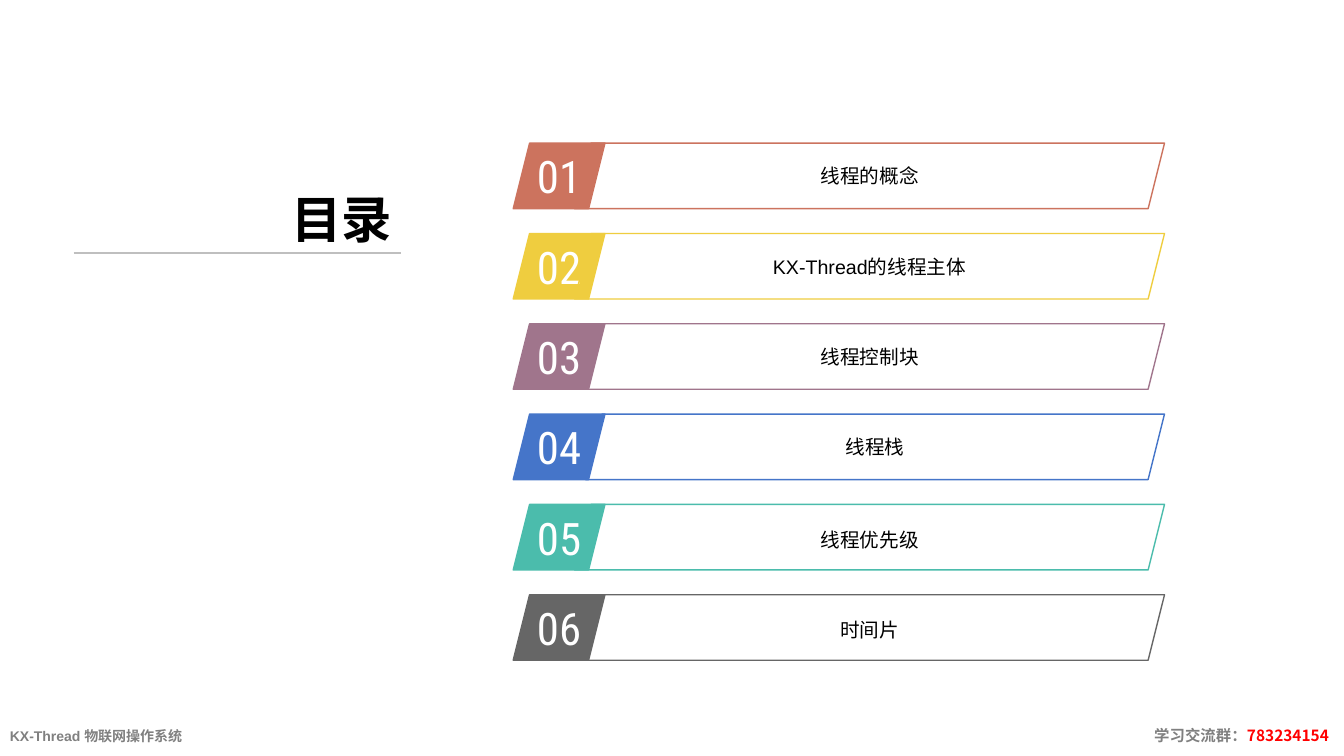
from lxml import etree
from pptx import Presentation
from pptx.dml.color import RGBColor
from pptx.enum.shapes import MSO_CONNECTOR, MSO_SHAPE
from pptx.enum.text import MSO_ANCHOR as ANCHOR, MSO_AUTO_SIZE as AUTOSIZE, PP_ALIGN as ALIGN
from pptx.oxml.ns import qn
from pptx.util import Inches, Pt

TITLE = "目录"
# label, colour, left edge of the label bar, line spacing
TOPICS = [
    ("线程的概念", "CC735E", 5.7, 1.0),
    ("KX-Thread的线程主体", "EFCD3F", 5.7, 1.0),
    ("线程控制块", "A0758C", 5.7, 1.0),
    ("线程栈", "4575C9", 5.81, 1.0),
    ("线程优先级", "4BBCAC", 5.7, 1.2),
    ("时间片", "666666", 5.7, 1.2),
]
# text, size, colour, font
FOOTER_LEFT = [("KX-Thread 物联网操作系统", 10, "808080", "Arial")]
FOOTER_RIGHT = [
    ("学习交流群：", 11, "808080", "Arial"),
    ("783234154", 11, "FF0000", "Noto Sans CJK KR"),
]

FIRST_TOP, LAST_TOP, BAR_HEIGHT = 1.42, 5.9, 0.65
NUMBER_LEFT, NUMBER_WIDTH, BAR_RIGHT = 5.09, 0.91, 11.55
ROW_STEP = (LAST_TOP - FIRST_TOP) / (len(TOPICS) - 1)


def rgb(color):
    return RGBColor.from_string(color)


def add_run(p, text, size, color, font="Arial", bold=False):
    r = p.add_run()
    r.text = text
    r.font.size = Pt(size)
    r.font.name = font
    r.font.bold = bold
    r.font.color.rgb = rgb(color)


def add_bar(s, left, top, width, color, filled):
    """Add a slanted bar and return its text frame."""
    sp = s.shapes.add_shape(MSO_SHAPE.PARALLELOGRAM, Inches(left), Inches(top),
                            Inches(width), Inches(BAR_HEIGHT))
    sp.shadow.inherit = False
    if filled:
        sp.fill.solid()
        sp.fill.fore_color.rgb = rgb(color)
    else:
        sp.fill.background()
    sp.line.color.rgb = rgb(color)
    sp.line.width = Pt(1)
    tf = sp.text_frame
    tf.vertical_anchor = ANCHOR.MIDDLE
    tf.word_wrap = not filled
    tf.paragraphs[0].alignment = ALIGN.CENTER
    return tf


def add_footer(s, left, width, runs, align):
    tf = s.shapes.add_textbox(Inches(left), Inches(7.1), Inches(width), Inches(0.4)).text_frame
    tf.word_wrap = True
    tf.vertical_anchor = ANCHOR.MIDDLE
    p = tf.paragraphs[0]
    p.alignment = align
    for text, size, color, font in runs:
        add_run(p, text, size, color, font, bold=True)


def add_title(s):
    title = s.shapes.title
    title.left, title.top = Inches(1.6), Inches(1.42)
    title.width, title.height = Inches(2.39), Inches(1.1)
    tf = title.text_frame
    tf.auto_size = AUTOSIZE.NONE
    tf.word_wrap = False
    tf.vertical_anchor = ANCHOR.BOTTOM
    p = tf.paragraphs[0]
    p.alignment = ALIGN.RIGHT
    add_run(p, TITLE, 36, "000000", bold=True)

    rule = s.shapes.add_connector(MSO_CONNECTOR.STRAIGHT, Inches(0.73), Inches(2.51),
                                  Inches(3.98), Inches(2.51))
    rule.line.color.rgb = rgb("BFBFBF")
    rule.line.width = Pt(1.5)
    etree.SubElement(rule._element.spPr, qn("a:effectLst"))


def main():
    prs = Presentation()
    prs.slide_width, prs.slide_height = Inches(13.33), Inches(7.5)
    s = prs.slides.add_slide(prs.slide_layouts[5])
    add_title(s)

    for i, (label, color, left, spacing) in enumerate(TOPICS):
        top = FIRST_TOP + i * ROW_STEP
        tf = add_bar(s, NUMBER_LEFT, top, NUMBER_WIDTH, color, filled=True)
        add_run(tf.paragraphs[0], f"{i + 1:02d}", 32, "FFFFFF", "Roboto Condensed")
        tf = add_bar(s, left, top, BAR_RIGHT - left, color, filled=False)
        tf.paragraphs[0].line_spacing = spacing
        add_run(tf.paragraphs[0], label, 14, "000000")

    add_footer(s, 0, 6, FOOTER_LEFT, ALIGN.LEFT)
    add_footer(s, 9.28, 4, FOOTER_RIGHT, ALIGN.RIGHT)
    prs.save("out.pptx")


if __name__ == "__main__":
    main()
